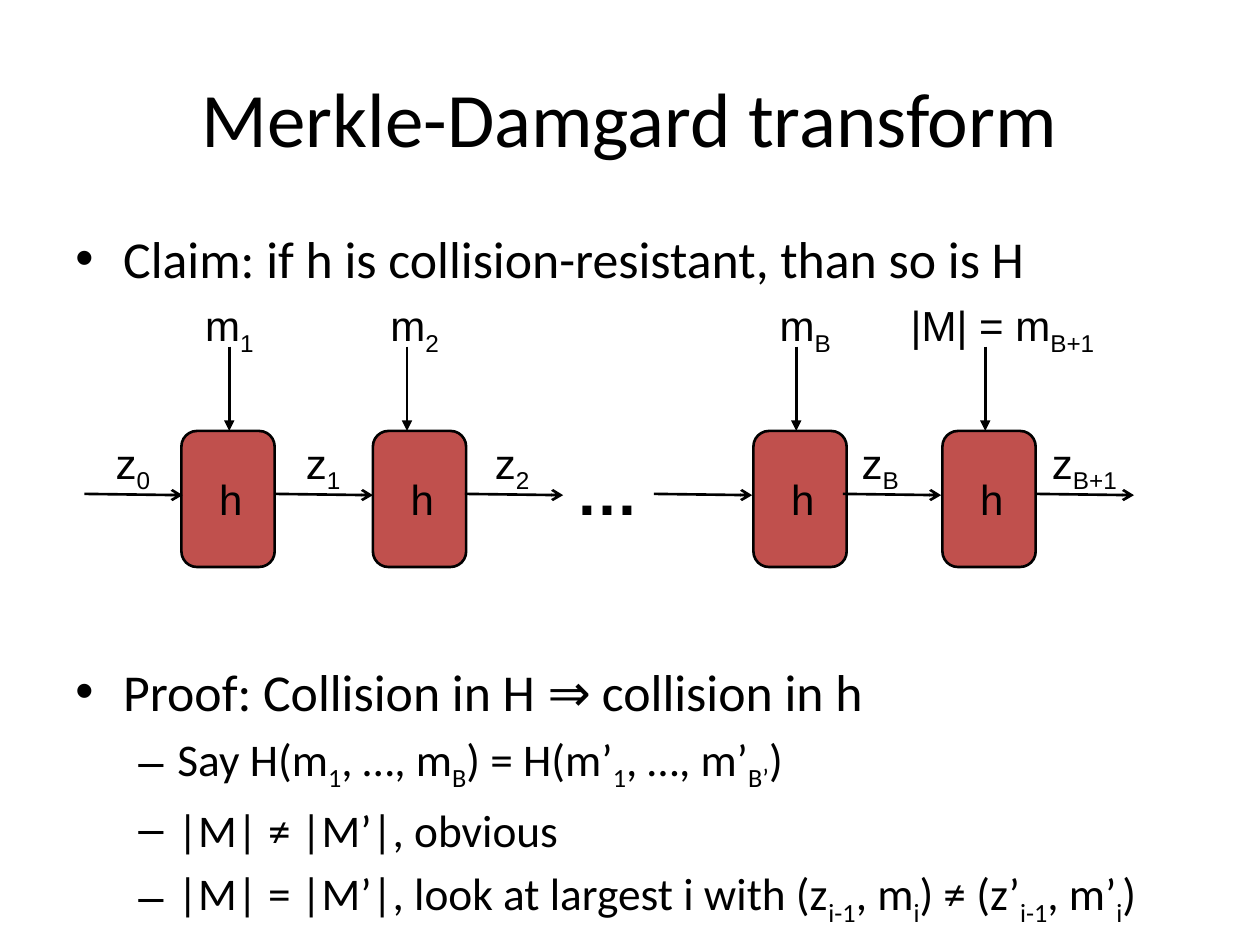
from lxml import etree
from pptx import Presentation
from pptx.enum import shapes, text
from pptx.dml.color import RGBColor
from pptx.oxml.ns import qn
from pptx.util import Inches, Pt

# Content: text between tildes is subscript
TITLE = "Merkle-Damgard transform"
# level, space before in points, wording
POINTS = [
    (0, 0, "Claim: if h is collision-resistant, than so is H"),
    (0, 212, "Proof: Collision in H ⇒ collision in h"),
    (1, 5.2, "Say H(m~1~, …, m~B~) = H(m’~1~, …, m’~B’~)"),
    (1, 5.2, "|M| ≠ |M’|, obvious"),
    (1, 5.2, "|M| = |M’|, look at largest i with (z~i-1~, m~i~) ≠ (z’~i-1~, m’~i~)"),
]
# block left, input arrow x, input label, label left, label width
BLOCKS = [
    (1.44, 1.82, "m~1~", 1.53, 0.61),
    (2.96, 3.23, "m~2~", 3.00, 0.61),
    (5.98, 6.32, "m~B~", 6.09, 0.63),
    (7.48, 7.82, "|M| = m~B+1~", 7.13, 1.73),
]
# chain arrow start, label, label left, label width
CHAIN = [
    (0.67, "z~0~", 0.82, 0.49),
    (2.18, "z~1~", 2.33, 0.49),
    (3.69, "z~2~", 3.83, 0.49),
    (5.19, "", 0, 0),
    (6.69, "z~B~", 6.74, 0.52),
    (8.22, "z~B+1~", 8.25, 0.78),
]

# Format
COLORS = {"ink": "000000", "block": "C0504D"}
LEVELS = [
    {"size": 29.6, "bullet": "•", "margin": 0.38, "hanging": 0.38},
    {"size": 25.9, "bullet": "–", "margin": 0.81, "hanging": 0.31},
]
LABEL = {"name": "Arial", "size": Pt(24)}
BLOCK_W, BLOCK_H, BLOCK_TOP = 0.74, 1.08, 3.42
INPUT_TOP, INPUT_LABEL_TOP = 2.75, 2.33
CHAIN_Y, CHAIN_LENGTH, CHAIN_LABEL_TOP = 3.92, 0.78, 3.42
LABEL_H = 0.5

prs = Presentation()
prs.slide_width, prs.slide_height = Inches(10), Inches(7.5)
slide = prs.slides.add_slide(prs.slide_layouts[6])


def color(key):
    return RGBColor.from_string(COLORS[key])


def write(paragraph, wording, font):
    for i, part in enumerate(wording.split("~")):
        if not part:
            continue
        run = paragraph.add_run()
        run.text = part
        for key, value in font.items():
            setattr(run.font, key, value)
        run.font.color.rgb = color("ink")
        if i % 2:
            run.font._element.set("baseline", "-25000")


def add_frame(left, top, width, height, wrap=True):
    box = slide.shapes.add_textbox(*map(Inches, (left, top, width, height)))
    box.text_frame.word_wrap = wrap
    return box.text_frame


def add_label(wording, left, top, width, height=LABEL_H, font=LABEL):
    frame = add_frame(left, top, width, height, wrap=False)
    frame.auto_size = text.MSO_AUTO_SIZE.SHAPE_TO_FIT_TEXT
    write(frame.paragraphs[0], wording, font)


def add_arrow(x1, y1, x2, y2, head):
    arrow = slide.shapes.add_connector(
        shapes.MSO_CONNECTOR.STRAIGHT, *map(Inches, (x1, y1, x2, y2)))
    arrow.line.color.rgb = color("ink")
    arrow.line.width = Pt(1.5)
    etree.SubElement(arrow.line._get_or_add_ln(), qn("a:tailEnd"), type=head)
    etree.SubElement(arrow._element.spPr, qn("a:effectLst"))


# Title
title = add_frame(0.5, 0.3, 9, 1.25)
title.vertical_anchor = text.MSO_ANCHOR.MIDDLE
title.paragraphs[0].alignment = text.PP_ALIGN.CENTER
write(title.paragraphs[0], TITLE, {"name": "Calibri", "size": Pt(44)})

# Claim and proof, with room for the diagram between them
body = add_frame(0.5, 1.75, 9, 4.95)
for i, (level, before, wording) in enumerate(POINTS):
    point = body.add_paragraph() if i else body.paragraphs[0]
    style = LEVELS[level]
    point.level = level
    point.space_before = Pt(before)
    props = point._p.get_or_add_pPr()
    props.set("marL", str(Inches(style["margin"])))
    props.set("indent", str(-Inches(style["hanging"])))
    etree.SubElement(props, qn("a:buFont"), typeface="Arial")
    etree.SubElement(props, qn("a:buChar"), char=style["bullet"])
    write(point, wording, {"name": "Calibri", "size": Pt(style["size"])})

# Compression blocks with their inputs
for left, input_x, wording, label_left, label_width in BLOCKS:
    block = slide.shapes.add_shape(
        shapes.MSO_SHAPE.ROUNDED_RECTANGLE,
        *map(Inches, (left, BLOCK_TOP, BLOCK_W, BLOCK_H)))
    block.shadow.inherit = False
    block.fill.solid()
    block.fill.fore_color.rgb = color("block")
    block.line.color.rgb = color("ink")
    block.line.width = Pt(1.5)
    add_label("h", left + 0.2, BLOCK_TOP + 0.29, 0.39)
    add_label(wording, label_left, INPUT_LABEL_TOP, label_width)
    add_arrow(input_x, INPUT_TOP, input_x, BLOCK_TOP, "triangle")

# Chaining values
for start, wording, label_left, label_width in CHAIN:
    add_arrow(start, CHAIN_Y, start + CHAIN_LENGTH, CHAIN_Y + 0.01, "arrow")
    if wording:
        add_label(wording, label_left, CHAIN_LABEL_TOP, label_width)
add_label("…", 4.47, 3.54, 0.71, 0.71,
          {"name": "Arial", "size": Pt(36), "bold": True})

prs.save("out.pptx")
